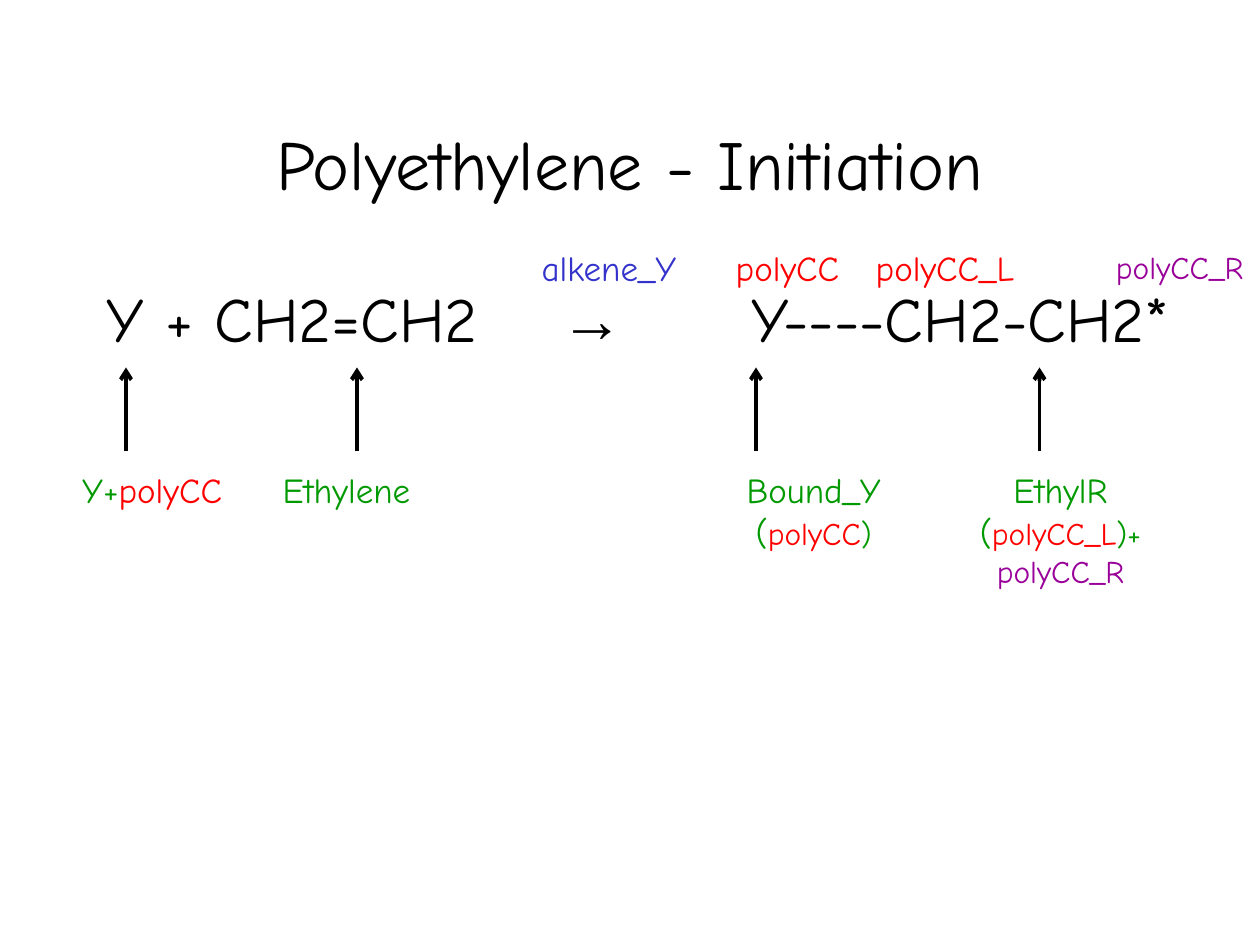
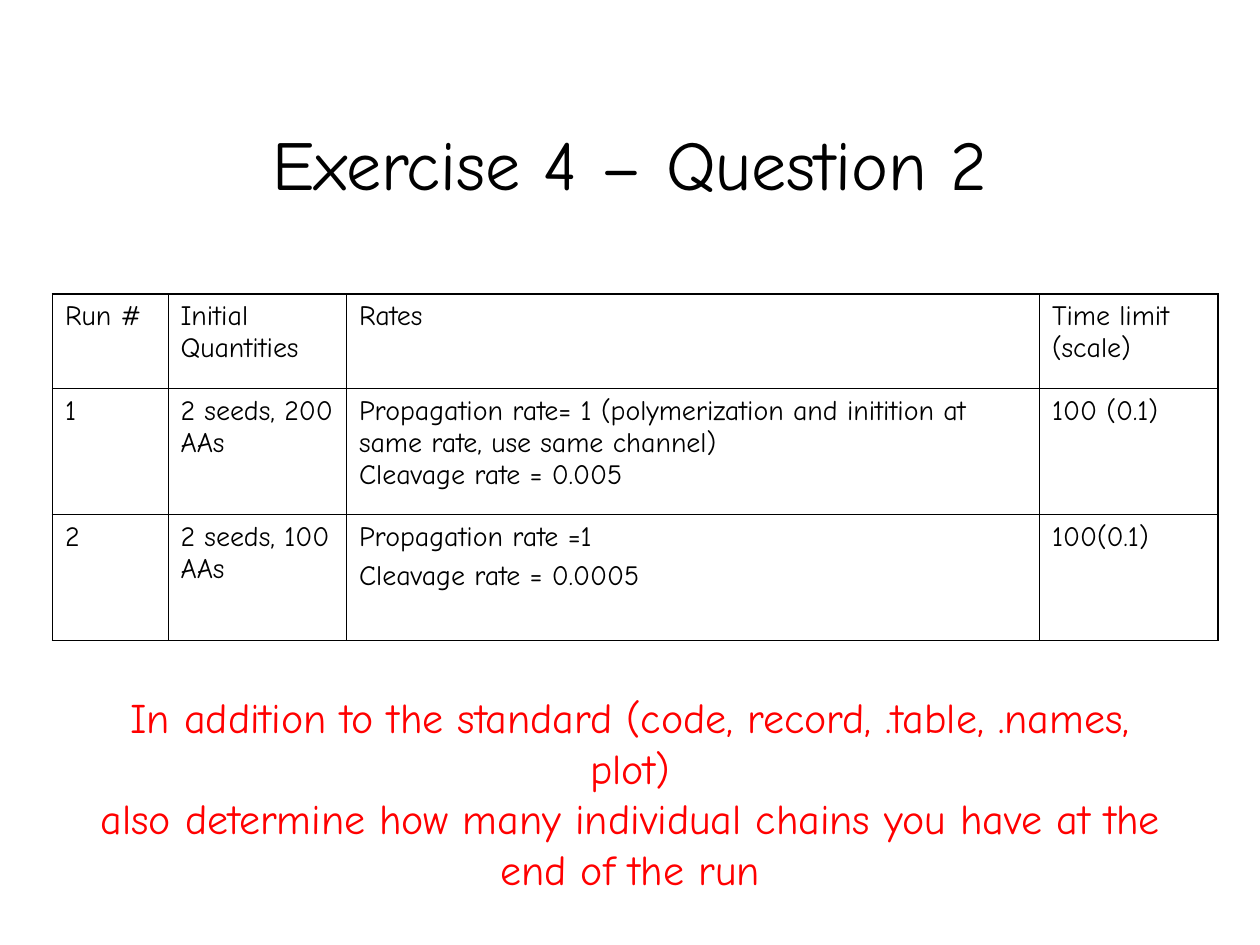
from lxml import etree
from pptx import Presentation
from pptx.dml.color import RGBColor
from pptx.enum.shapes import MSO_CONNECTOR
from pptx.enum.text import MSO_ANCHOR, PP_ALIGN
from pptx.oxml.ns import qn
from pptx.util import Emu, Pt

PX = 7620  # 120 px to the inch
FONT, ARROW_FONT = "Comic Neue", "Arial"
BLACK = RGBColor(0x00, 0x00, 0x00)
GREEN = RGBColor(0x00, 0x99, 0x00)
RED = RGBColor(0xFF, 0x00, 0x00)
BLUE = RGBColor(0x33, 0x33, 0xCC)
PURPLE = RGBColor(0x99, 0x00, 0x99)
LEFT, CENTER = PP_ALIGN.LEFT, PP_ALIGN.CENTER
TOP, MIDDLE = MSO_ANCHOR.TOP, MSO_ANCHOR.MIDDLE
STRAIGHT = MSO_CONNECTOR.STRAIGHT

# Runs are (text, size, colour[, font]); a paragraph is a list of runs
TITLE_AREA = (90, 80, 1020, 150)

REACTION_TITLE = "Polyethylene - Initiation"
REACTION_AREA = (90, 260, 1080, 540)
REACTION = [("Y + CH2=CH2\t", 36, BLACK), ("→", 36, BLACK, ARROW_FONT),
            ("\tY----CH2-CH2*", 36, BLACK)]
REACTION_TABS = (432, 614)

# Labels above the reaction: left, width, run
CHANNEL_TOP, LABEL_HEIGHT = 190, 130
CHANNELS = [
    (480, 200, ("alkene_Y", 20, BLUE)),
    (650, 200, ("polyCC", 20, RED)),
    (800, 200, ("polyCC_L", 20, RED)),
]
FREE_END_AREA = (1051, 230, 145, 48)
FREE_END = ("polyCC_R", 18, PURPLE)

# Labels below the reaction: left, width, arrow x, runs
MOLECULE_TOP = 440
ARROW_FROM, ARROW_TO = 430, 350
MOLECULES = [
    (60, 170, 120, [("Y+", 20, GREEN), ("polyCC", 20, RED)]),
    (230, 200, 340, [("Ethylene", 20, GREEN)]),
    (670, 210, 720, [("Bound_Y\n(", 20, GREEN), ("polyCC", 18, RED),
                     (")", 18, GREEN)]),
    (910, 200, 990, [("EthylR\n(", 20, GREEN), ("polyCC_L", 18, RED),
                     (")+ ", 18, GREEN), ("polyCC_R", 18, PURPLE)]),
]

EXERCISE_TITLE = "Exercise 4 – Question 2"
RUNS_LEFT, RUNS_TOP = 50, 280
COLUMN_WIDTHS = (110, 170, 660, 170)
ROW_HEIGHTS = (90, 120, 120)
RUNS_TABLE = [
    [["Run #"], ["Initial Quantities"], ["Rates"], ["Time limit (scale)"]],
    [["1"], ["2 seeds, 200 AAs"],
     ["Propagation rate= 1 (polymerization and initition at same rate, "
      "use same channel)\nCleavage rate = 0.005"],
     ["100 (0.1)"]],
    [["2"], ["2 seeds, 100 AAs"],
     ["Propagation rate =1", "Cleavage rate = 0.0005"],
     ["100(0.1)"]],
]
OUTER_LINE, INNER_LINE = Pt(1.08), Pt(0.45)

TASK_AREA = (70, 690, 1060, 130)
TASK = [
    "In addition to the standard (code, record, .table, .names, plot)",
    "also determine how many individual chains you have at the\nend of the run",
]


def px(length):
    return Emu(length * PX)


def write(frame, paragraphs, align=LEFT, before=0):
    """Fill a text frame run by run; a newline becomes a line break."""
    for index, runs in enumerate(paragraphs):
        para = frame.add_paragraph() if index else frame.paragraphs[0]
        para.alignment = align
        para.space_before = Pt(before)
        for text, size, color, *font in runs:
            for number, line in enumerate(text.split("\n")):
                if number:
                    para.add_line_break()
                span = para.add_run()
                span.text = line
                span.font.size = Pt(size)
                span.font.name = font[0] if font else FONT
                span.font.color.rgb = color


def add_text(page, area, paragraphs, align=CENTER, anchor=TOP, before=0, wrap=True):
    box = page.shapes.add_textbox(*map(px, area))
    frame = box.text_frame
    frame.word_wrap = wrap
    frame.vertical_anchor = anchor
    write(frame, paragraphs, align, before)
    return frame


def add_page(deck, title):
    page = deck.slides.add_slide(deck.slide_layouts[6])
    add_text(page, TITLE_AREA, [[(title, 40, BLACK)]], anchor=MIDDLE)
    return page


def set_tabs(para, stops):
    tabs = etree.SubElement(para._p.get_or_add_pPr(), qn("a:tabLst"))
    for stop in stops:
        etree.SubElement(tabs, qn("a:tab"), pos=str(px(stop)), algn="l")


def add_arrow(page, x):
    arrow = page.shapes.add_connector(
        STRAIGHT, px(x), px(ARROW_FROM), px(x), px(ARROW_TO))
    arrow.line.color.rgb = BLACK
    arrow.line.width = Pt(2.25)
    etree.SubElement(arrow.line._get_or_add_ln(), qn("a:tailEnd"), type="arrow")
    etree.SubElement(arrow._element.spPr, qn("a:effectLst"))


def set_borders(cell, outer_sides):
    """Draw all four sides, with the heavier line on the table's rim."""
    properties = cell._tc.get_or_add_tcPr()
    for side, outer in outer_sides.items():
        width = OUTER_LINE if outer else INNER_LINE
        line = etree.SubElement(properties, qn(f"a:ln{side}"), w=str(width))
        fill = etree.SubElement(line, qn("a:solidFill"))
        etree.SubElement(fill, qn("a:srgbClr"), val=str(BLACK))


def add_runs_table(page):
    table = page.shapes.add_table(
        len(ROW_HEIGHTS), len(COLUMN_WIDTHS), px(RUNS_LEFT), px(RUNS_TOP),
        px(sum(COLUMN_WIDTHS)), px(sum(ROW_HEIGHTS))).table
    table.first_row = table.horz_banding = False
    for column, width in zip(table.columns, COLUMN_WIDTHS):
        column.width = px(width)
    last_row, last_column = len(ROW_HEIGHTS) - 1, len(COLUMN_WIDTHS) - 1
    for r, height in enumerate(ROW_HEIGHTS):
        table.rows[r].height = px(height)
        for c, lines in enumerate(RUNS_TABLE[r]):
            cell = table.cell(r, c)
            write(cell.text_frame, [[(line, 16, BLACK)] for line in lines], before=4)
            set_borders(cell, {"L": c == 0, "R": c == last_column,
                               "T": r == 0, "B": r == last_row})
            cell.fill.background()


def build_reaction(deck):
    page = add_page(deck, REACTION_TITLE)
    frame = add_text(page, REACTION_AREA, [REACTION], LEFT, before=9)
    set_tabs(frame.paragraphs[0], REACTION_TABS)
    for left, width, label in CHANNELS:
        add_text(page, (left, CHANNEL_TOP, width, LABEL_HEIGHT), [[label]],
                 anchor=MIDDLE)
    add_text(page, FREE_END_AREA, [[FREE_END]], wrap=False)
    for left, width, arrow_x, runs in MOLECULES:
        add_text(page, (left, MOLECULE_TOP, width, LABEL_HEIGHT), [runs])
        add_arrow(page, arrow_x)


def build_exercise(deck):
    page = add_page(deck, EXERCISE_TITLE)
    add_runs_table(page)
    add_text(page, TASK_AREA, [[(line, 24, RED)] for line in TASK],
             anchor=MIDDLE, wrap=False)


def main():
    deck = Presentation()
    deck.slide_width, deck.slide_height = px(1200), px(900)
    build_reaction(deck)
    build_exercise(deck)
    deck.save("out.pptx")


if __name__ == "__main__":
    main()
